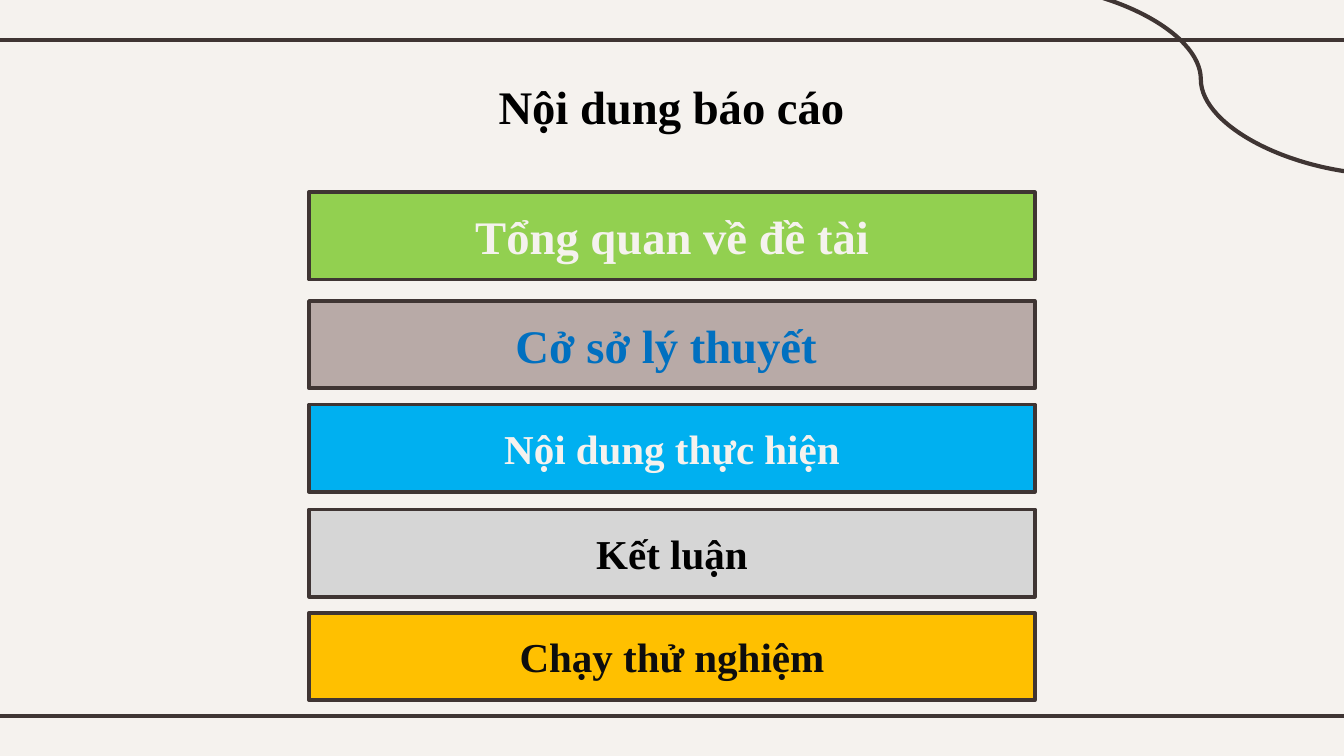
from dataclasses import dataclass

from lxml.etree import SubElement
from pptx import Presentation
from pptx.dml.color import RGBColor as Rgb
from pptx.enum.shapes import MSO_CONNECTOR as Conn, MSO_SHAPE as Kind
from pptx.enum.text import MSO_ANCHOR as Anchor, PP_ALIGN as Align
from pptx.oxml.ns import qn
from pptx.util import Inches, Pt


@dataclass(frozen=True)
class Theme:
    font: str = "Times New Roman"
    paper: str = "F5F2EE"
    ink: str = "3F3533"
    black: str = "000000"
    soft: str = "0D0D0D"
    blue: str = "0070C0"
    green: str = "92D050"
    mauve: str = "B8AAA7"
    sky: str = "00B0F0"
    gray: str = "D6D6D6"
    gold: str = "FFC000"
    large: float = 25
    small: float = 22
    rule: float = 2.25
    edge: float = 2


THEME = Theme()
BARS = [
    (1.43, "Tổng quan về đề tài", THEME.green, THEME.paper, THEME.large),
    (2.24, "Cở sở lý thuyết ", THEME.mauve, THEME.blue, THEME.large),
    (3.01, "Nội dung thực hiện", THEME.sky, THEME.paper, THEME.small),
    (3.79, "Kết luận", THEME.gray, THEME.black, THEME.small),
    (4.56, "Chạy thử nghiệm", THEME.gold, THEME.soft, THEME.small),
]


def apply(item, form):
    for name, value in form.items():
        setattr(item, name, value)


def paint(fill, color):
    fill.solid()
    fill.fore_color.rgb = Rgb.from_string(color)


def stroke(line, width):
    paint(line.fill, THEME.ink)
    line.width = Pt(width)


def write(frame, text, color, size, anchor):
    apply(frame, {"word_wrap": True, "vertical_anchor": anchor})
    para = frame.paragraphs[0]
    para.alignment = Align.CENTER
    run = para.add_run()
    run.text = text
    apply(run.font, {"name": THEME.font, "size": Pt(size), "bold": True})
    run.font.color.rgb = Rgb.from_string(color)


def add_line(slide, kind, *ends):
    line = slide.shapes.add_connector(kind, *map(Inches, ends))
    stroke(line.line, THEME.rule)
    SubElement(line._element.spPr, qn("a:effectLst"))


def add_title(slide, text):
    box = slide.shapes.add_textbox(*map(Inches, (2.42, 0.48, 5.15, 0.63)))
    frame = box.text_frame
    sides = ("left", "top", "right", "bottom")
    apply(frame, {f"margin_{side}": Inches(0.1) for side in sides})
    write(frame, text, THEME.black, THEME.large, Anchor.TOP)


def add_bar(slide, top, text, fill, color, size):
    place = map(Inches, (2.3, top, 5.4, 0.65))
    bar = slide.shapes.add_shape(Kind.RECTANGLE, *place)
    bar.shadow.inherit = False
    paint(bar.fill, fill)
    stroke(bar.line, THEME.edge)
    write(bar.text_frame, text, color, size, Anchor.MIDDLE)


def main():
    deck = Presentation()
    wide = Inches(10)
    apply(deck, {"slide_width": wide, "slide_height": wide * 9 // 16})
    slide = deck.slides.add_slide(deck.slide_layouts[6])
    paint(slide.background.fill, THEME.paper)
    for y in (0.3, 5.33):
        add_line(slide, Conn.STRAIGHT, -0.08, y, 10.08, y)
    add_line(slide, Conn.CURVE, 7.53, -0.12, 10.34, 1.3)
    add_title(slide, "Nội dung báo cáo")
    for bar in BARS:
        add_bar(slide, *bar)
    deck.save("out.pptx")


if __name__ == "__main__":
    main()
